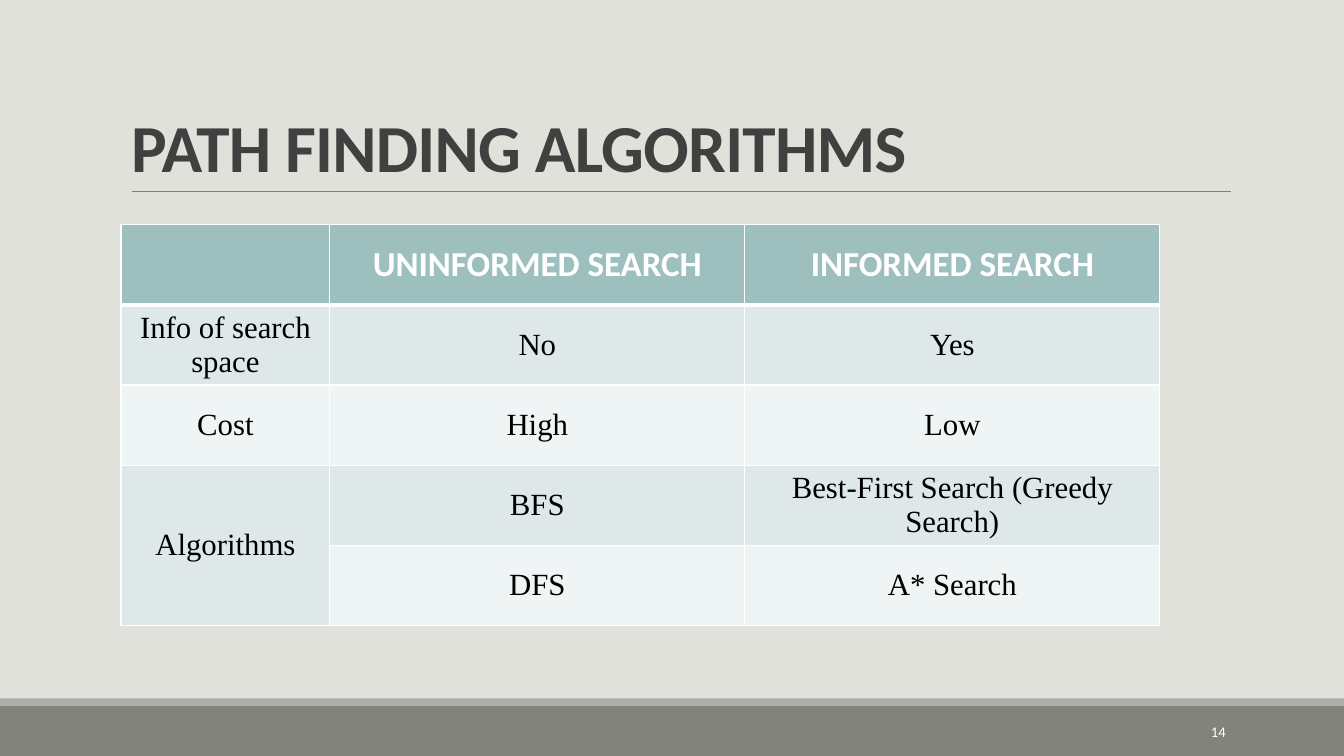
from dataclasses import dataclass

from lxml import etree
from pptx import Presentation
from pptx import util as u
from pptx.dml import color
from pptx.enum import shapes, text
from pptx.oxml import ns
from pptx.util import Cm


@dataclass(frozen=True)
class Theme:
    background: str = "E1E1DB"
    footer: str = "82847C"
    footer_edge: str = "ACADA8"
    rule: str = "808080"
    title: str = "404040"
    header: str = "9DBFBE"
    bands: tuple = ("DFE8E8", "EFF4F4")
    white: str = "FFFFFF"
    ink: str = "000000"
    heading_font: str = "Calibri"
    body_font: str = "Times New Roman"
    title_size: float = 48
    header_size: float = 25
    body_size: float = 22
    number_size: float = 10.5


THEME = Theme()
TITLE_FORMAT = {"name": THEME.heading_font, "size": THEME.title_size, "bold": True, "color": THEME.title}
HEADER_FORMAT = {"name": THEME.heading_font, "size": THEME.header_size, "bold": True, "color": THEME.white}
BODY_FORMAT = {"name": THEME.body_font, "size": THEME.body_size, "bold": False, "color": THEME.ink}
NUMBER_FORMAT = {"name": THEME.heading_font, "size": THEME.number_size, "bold": False, "color": THEME.white}

COMPARISON = [
    ["", "UNINFORMED SEARCH", "INFORMED SEARCH"],
    ["Info of search space", "No", "Yes"],
    ["Cost", "High", "Low"],
    ["Algorithms", "BFS", "Best-First Search (Greedy Search)"],
    ["", "DFS", "A* Search"],
]
COLUMN_WIDTHS = [5.26, 10.46, 10.46]
ROW_HEIGHT = 2.02


def rgb(value):
    return color.RGBColor.from_string(value)


def paint(target, value):
    target.fill.solid()
    target.fill.fore_color.rgb = rgb(value)


def write(frame, words, font_format, alignment):
    frame.text = words
    paragraph = frame.paragraphs[0]
    paragraph.alignment = alignment
    for font in [paragraph.font] + [run.font for run in paragraph.runs]:
        for key, value in font_format.items():
            if key == "color":
                font.color.rgb = rgb(value)
            else:
                setattr(font, key, u.Pt(value) if key == "size" else value)
    return paragraph


def add_title(slide, words):
    title = slide.shapes.title
    place = {"left": Cm(3.05), "top": Cm(0.79), "width": Cm(27.94), "height": Cm(4.04)}
    for key, value in place.items():
        setattr(title, key, value)
    frame = title.text_frame
    frame.auto_size = text.MSO_AUTO_SIZE.NONE
    frame.vertical_anchor = text.MSO_ANCHOR.BOTTOM
    paragraph = write(frame, words, TITLE_FORMAT, text.PP_ALIGN.LEFT)
    paragraph.line_spacing = 0.85
    paragraph.runs[0].font._element.set("spc", "-50")


def add_band(slide, top, height, fill):
    band = slide.shapes.add_shape(shapes.MSO_SHAPE.RECTANGLE, 0, Cm(top), Cm(33.87), Cm(height))
    band.shadow.inherit = False
    paint(band, fill)
    band.line.fill.background()


def add_rule(slide):
    rule = slide.shapes.add_connector(
        shapes.MSO_CONNECTOR.STRAIGHT, Cm(3.33), Cm(4.82), Cm(31.01), Cm(4.82))
    rule.line.color.rgb = rgb(THEME.rule)
    rule.line.width = u.Pt(0.5)
    etree.SubElement(rule._element.spPr, ns.qn("a:effectLst"))


def add_borders(cell, top, bottom):
    properties = cell._tc.get_or_add_tcPr()
    for side, points in {"lnL": 1, "lnR": 1, "lnT": top, "lnB": bottom}.items():
        border = etree.SubElement(properties, ns.qn(f"a:{side}"), w=str(u.Pt(points)))
        fill = etree.SubElement(border, ns.qn("a:solidFill"))
        etree.SubElement(fill, ns.qn("a:srgbClr"), val=THEME.white)


def add_comparison(slide):
    table = slide.shapes.add_table(
        len(COMPARISON), len(COLUMN_WIDTHS), Cm(3.05), Cm(5.66),
        Cm(sum(COLUMN_WIDTHS)), Cm(ROW_HEIGHT * len(COMPARISON))).table
    table.horz_banding = False
    for column, width in zip(table.columns, COLUMN_WIDTHS):
        column.width = Cm(width)
    for index, (row, entries) in enumerate(zip(table.rows, COMPARISON)):
        row.height = Cm(ROW_HEIGHT)
        header = index == 0
        for cell, entry in zip(row.cells, entries):
            cell.margin_top = cell.margin_bottom = Cm(0.1)
            cell.vertical_anchor = text.MSO_ANCHOR.MIDDLE
            add_borders(cell, 3 if index == 1 else 1, 3 if header else 1)
            paint(cell, THEME.header if header else THEME.bands[(index - 1) % 2])
            write(cell.text_frame, entry, HEADER_FORMAT if header else BODY_FORMAT,
                  text.PP_ALIGN.CENTER)
    table.cell(3, 0).merge(table.cell(4, 0))


def add_page_number(slide, number):
    frame = slide.shapes.add_textbox(Cm(27.51), Cm(17.93), Cm(3.63), Cm(1.02)).text_frame
    frame.word_wrap = True
    frame.vertical_anchor = text.MSO_ANCHOR.MIDDLE
    write(frame, number, NUMBER_FORMAT, text.PP_ALIGN.RIGHT)


def main():
    deck = Presentation()
    deck.slide_width, deck.slide_height = Cm(33.87), Cm(19.05)
    slide = deck.slides.add_slide(deck.slide_layouts.get_by_name("Title Only"))
    paint(slide.background, THEME.background)
    add_band(slide, 17.78, 1.27, THEME.footer)
    add_band(slide, 17.6, 0.18, THEME.footer_edge)
    add_rule(slide)
    add_title(slide, "PATH FINDING ALGORITHMS")
    add_comparison(slide)
    add_page_number(slide, "14")
    deck.save("out.pptx")


if __name__ == "__main__":
    main()
